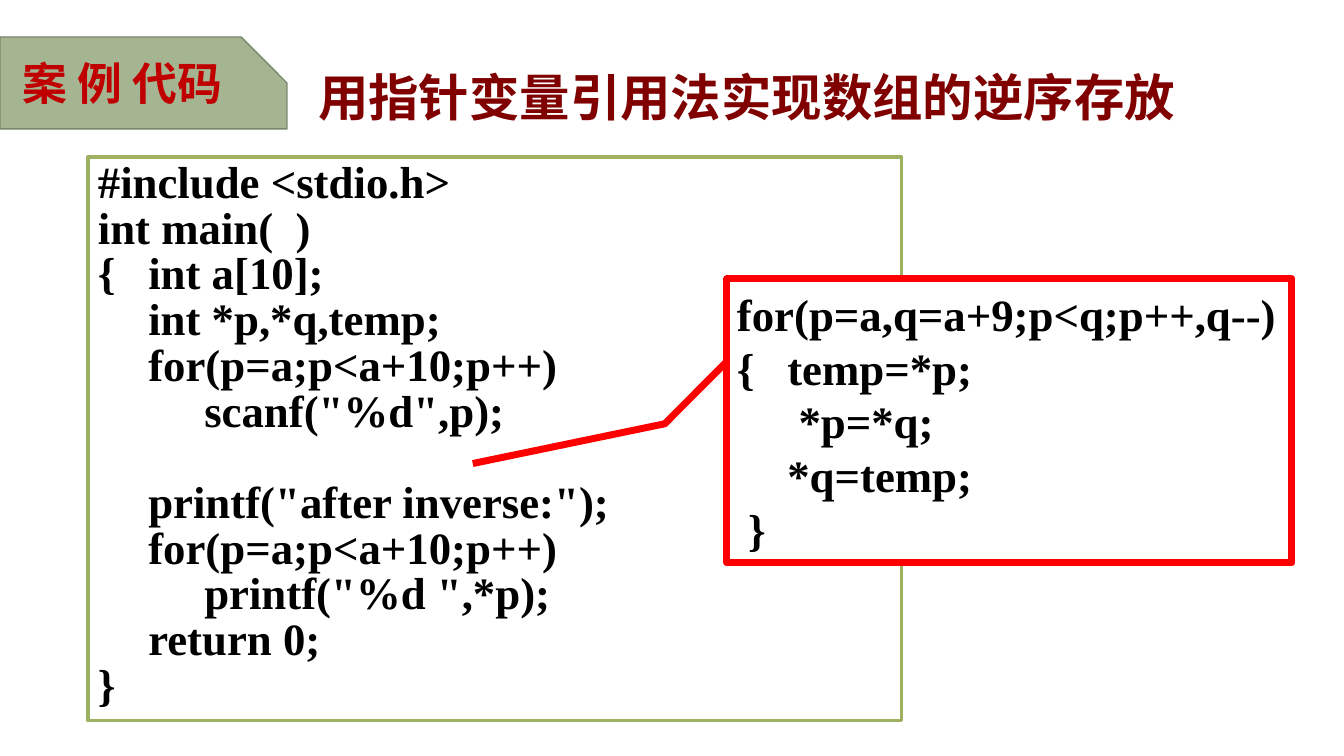
from dataclasses import dataclass
from typing import Optional

from lxml import etree
from pptx import Presentation
from pptx import util as u
from pptx.dml.color import RGBColor
from pptx.enum import shapes, text
from pptx.oxml.ns import qn

EMU_PER_PX = 914400 / 100.8


@dataclass(frozen=True)
class Theme:
    ink: str = "000000"
    paper: str = "FFFFFF"
    title: str = "800000"
    label: str = "C00000"
    tag_fill: str = "A5B592"
    tag_line: str = "7A866C"
    code_line: str = "9EB160"
    callout_line: str = "FF0000"
    code_font: str = "Times New Roman"
    heading_font: str = "Noto Sans CJK SC"
    body_size: int = 32
    title_size: int = 36


@dataclass(frozen=True)
class Box:
    left: int
    top: int
    width: int
    height: int

    def emu(self) -> list[u.Emu]:
        return [px(n) for n in (self.left, self.top, self.width, self.height)]


@dataclass(frozen=True)
class Panel:
    kind: shapes.MSO_SHAPE
    box: Box
    line: str
    line_width: float
    fill: Optional[str] = None
    adjustments: tuple[float, ...] = ()
    lines: tuple[str, ...] = ()
    spacing: float = 1.0
    anchor: text.MSO_ANCHOR = text.MSO_ANCHOR.MIDDLE
    gap_before: Optional[int] = None  # index of the line that follows the gap


THEME = Theme()
GAP = u.Pt(32.6)  # height of one line of code

PROGRAM = (
    "#include <stdio.h>",
    "int main(  )",
    "{\tint a[10];",
    "\tint *p,*q,temp;",
    "\tfor(p=a;p<a+10;p++)",
    '\t     scanf("%d",p);',
    '\tprintf("after inverse:");',
    "\tfor(p=a;p<a+10;p++)",
    '\t     printf("%d ",*p);',
    "\treturn 0;",
    "}",
)
SWAP_LOOP = (
    "for(p=a,q=a+9;p<q;p++,q--)",
    "{\ttemp=*p;",
    "\t *p=*q;",
    "\t*q=temp;",
    " }",
)
PANELS = (
    Panel(shapes.MSO_SHAPE.RECTANGLE, Box(88, 157, 814, 564), THEME.code_line, 2.25,
          lines=PROGRAM, spacing=0.85, anchor=text.MSO_ANCHOR.TOP, gap_before=6),
    Panel(shapes.MSO_SHAPE.LINE_CALLOUT_2, Box(727, 279, 565, 284), THEME.callout_line, 5,
          fill=THEME.paper, adjustments=(0.29, 0, 0.51, -0.11, 0.65, -0.45),
          lines=SWAP_LOOP),
    Panel(shapes.MSO_SHAPE.SNIP_1_RECTANGLE, Box(0, 37, 287, 92), THEME.tag_line, 1,
          fill=THEME.tag_fill, adjustments=(0.5,)),
)


def px(count: int) -> u.Emu:
    return u.Emu(round(count * EMU_PER_PX))


def write_text(paragraph, content: str, *, font: str = THEME.code_font,
               size: int = THEME.body_size, color: str = THEME.ink,
               spacing: float = 1.0, before: int = 0) -> None:
    paragraph.alignment = text.PP_ALIGN.LEFT
    paragraph.line_spacing = spacing
    if before:
        paragraph.space_before = before
    run = paragraph.add_run()
    run.text = content
    run.font.name = font
    run.font.size = u.Pt(size)
    run.font.bold = True
    run.font.color.rgb = RGBColor.from_string(color)
    etree.SubElement(run.font._element, qn("a:ea"), typeface=font)


def prepare_frame(frame, anchor: text.MSO_ANCHOR) -> None:
    frame.word_wrap = True
    frame.auto_size = text.MSO_AUTO_SIZE.NONE
    frame.vertical_anchor = anchor


def draw_panel(slide, panel: Panel) -> None:
    shape = slide.shapes.add_shape(panel.kind, *panel.box.emu())
    shape.shadow.inherit = False
    for index, value in enumerate(panel.adjustments):
        shape.adjustments[index] = value
    if panel.fill:
        shape.fill.solid()
        shape.fill.fore_color.rgb = RGBColor.from_string(panel.fill)
    else:
        shape.fill.background()
    shape.line.color.rgb = RGBColor.from_string(panel.line)
    shape.line.width = u.Pt(panel.line_width)

    frame = shape.text_frame
    prepare_frame(frame, panel.anchor)
    for index, content in enumerate(panel.lines):
        paragraph = frame.add_paragraph() if index else frame.paragraphs[0]
        write_text(paragraph, content, spacing=panel.spacing,
                   before=GAP if index == panel.gap_before else 0)


def draw_heading(shape, box: Box, content: str, *, size: int, color: str) -> None:
    shape.left, shape.top, shape.width, shape.height = box.emu()
    prepare_frame(shape.text_frame, text.MSO_ANCHOR.MIDDLE)
    write_text(shape.text_frame.paragraphs[0], content,
               font=THEME.heading_font, size=size, color=color)


def main() -> None:
    presentation = Presentation()
    presentation.slide_width, presentation.slide_height = px(1344), px(756)
    slide = presentation.slides.add_slide(presentation.slide_layouts[5])

    # Code box, callout and section tag
    for panel in PANELS:
        draw_panel(slide, panel)

    # Title and tag label
    draw_heading(slide.shapes.title, Box(308, 57, 896, 79),
                 "用指针变量引用法实现数组的逆序存放",
                 size=THEME.title_size, color=THEME.title)
    label_box = Box(13, 29, 260, 108)
    draw_heading(slide.shapes.add_textbox(*label_box.emu()), label_box, "案 例 代码",
                 size=THEME.body_size, color=THEME.label)

    presentation.save("out.pptx")


if __name__ == "__main__":
    main()
